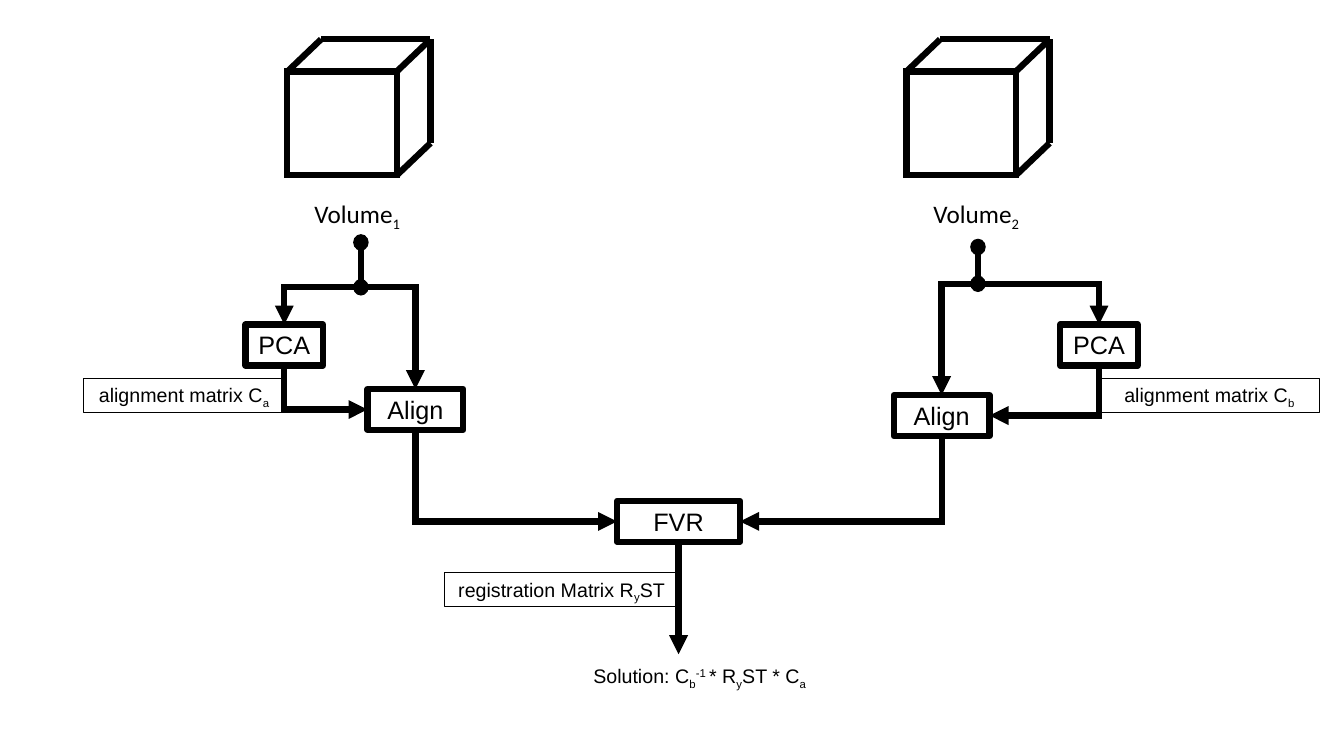
from dataclasses import dataclass

from lxml.etree import SubElement
from pptx import Presentation
from pptx.dml.color import RGBColor
from pptx.enum.shapes import MSO_CONNECTOR as Connector
from pptx.enum.shapes import MSO_SHAPE as Preset
from pptx.enum.text import MSO_AUTO_SIZE as AutoSize
from pptx.enum.text import PP_ALIGN as Align
from pptx.oxml.ns import qn
from pptx.util import Emu, Inches, Pt

COLUMNS, ROWS = 133.3, 75
BLACK, WHITE = "000000", "FFFFFF"
THICK = 4.5
CUBE_TOP, CUBE_WIDTH, CUBE_HEIGHT = 7.1, 10.85, 10.3
DEPTH_X, DEPTH_Y = 3.35, 3.2
BOX_HEIGHT, LABEL_HEIGHT = 4.05, 3.4
PCA_TOP, PCA_WIDTH, ALIGN_WIDTH = 32.2, 7.7, 9.5
FVR_X, FVR_TOP, FVR_WIDTH = 67.3, 49.7, 12.2

Point = tuple[float, float]
Runs = list[tuple[str, int]]


@dataclass(frozen=True)
class Branch:
    number: str
    matrix: str
    cube_left: float
    hub_x: float
    dots: tuple[float, float]
    pca_x: float
    align_x: float
    align_top: float
    label_left: float
    label_width: float
    label_line: float
    inward: int


BRANCHES = [
    Branch("1", "a", 28.5, 35.8, (24.05, 28.5), 28.2, 41.2, 38.6, 8.3, 19.9, 0.25, 1),
    Branch("2", "b", 89.9, 97.0, (24.5, 28.15), 109.0, 93.4, 39.2, 109.0, 21.9, 0.5, -1),
]

presentation = Presentation()
presentation.slide_width = Inches(13.33)
presentation.slide_height = Inches(7.5)
slide = presentation.slides.add_slide(presentation.slide_layouts[6])


def across(columns: float) -> Emu:
    return Emu(round(presentation.slide_width * columns / COLUMNS))


def down(rows: float) -> Emu:
    return Emu(round(presentation.slide_height * rows / ROWS))


def color(value: str) -> RGBColor:
    return RGBColor.from_string(value)


def outline(shape, width: float, miter: bool = False, arrow: bool = False) -> None:
    shape.line.color.rgb = color(BLACK)
    shape.line.width = Pt(width)
    line = shape.line._get_or_add_ln()
    if miter:
        SubElement(line, qn("a:miter"), lim="800000")
    if arrow:
        SubElement(line, qn("a:tailEnd"), type="triangle")


def solid(preset: Preset, left: float, top: float, width: float, height: float,
          fill: str, line: float) -> None:
    shape = slide.shapes.add_shape(
        preset, across(left), down(top), across(width), down(height))
    shape.shadow.inherit = False
    shape.fill.solid()
    shape.fill.fore_color.rgb = color(fill)
    outline(shape, line, miter=True)


def text(runs: Runs, left: float, top: float, width: float, height: float, *,
         size: float = 14, font: str = "Arial", align: Align = Align.CENTER,
         line: float = 0) -> None:
    shape = slide.shapes.add_textbox(
        across(left), down(top), across(width), down(height))
    if line:
        outline(shape, line)
    frame = shape.text_frame
    frame.word_wrap = True
    frame.auto_size = AutoSize.SHAPE_TO_FIT_TEXT
    paragraph = frame.paragraphs[0]
    paragraph.alignment = align
    for words, baseline in runs:
        run = paragraph.add_run()
        run.text = words
        run.font.size = Pt(size)
        run.font.name = font
        run.font.color.rgb = color(BLACK)
        if baseline:
            run.font._element.set("baseline", str(baseline * 1000))


def connect(start: Point, end: Point, kind: Connector = Connector.STRAIGHT,
            arrow: bool = False):
    connector = slide.shapes.add_connector(
        kind, across(start[0]), down(start[1]), across(end[0]), down(end[1]))
    SubElement(connector._element.spPr, qn("a:effectLst"))
    outline(connector, THICK, miter=True, arrow=arrow)
    return connector


def elbow(start: Point, end: Point, vertical_first: bool = False) -> None:
    connector = connect(start, end, Connector.ELBOW, arrow=True)
    properties = connector._element.spPr
    properties.find(qn("a:prstGeom")).set("prst", "bentConnector2")
    if vertical_first:
        left, top = connector.left, connector.top
        width, height = connector.width, connector.height
        connector.left = left + (width - height) // 2
        connector.top = top + (height - width) // 2
        connector.width, connector.height = height, width
        rightward = end[0] > start[0]
        transform = properties.find(qn("a:xfrm"))
        transform.set("rot", str((270 if rightward else 90) * 60000))
        transform.set("flipH", "1" if rightward else "0")


def process(name: str, center: float, top: float, width: float) -> None:
    text([(name, 0)], center - width / 2, top, width, BOX_HEIGHT, size=18, line=THICK)


def cube(left: float) -> None:
    right, bottom = left + CUBE_WIDTH, CUBE_TOP + CUBE_HEIGHT
    solid(Preset.RECTANGLE, left, CUBE_TOP, CUBE_WIDTH, CUBE_HEIGHT, WHITE, THICK)
    front = [(left, CUBE_TOP), (right, CUBE_TOP), (right, bottom)]
    back = [(x + DEPTH_X, y - DEPTH_Y) for x, y in front]
    for start, end in [*zip(front, back), *zip(back, back[1:])]:
        connect(start, end)


def draw_branch(branch: Branch) -> None:
    cube(branch.cube_left)
    text([("Volume", 0), (branch.number, -25)], branch.cube_left + 1.7, 19.2, 12.5, 4,
         size=18, font="Calibri", align=Align.LEFT)
    source, hub = [(branch.hub_x, y) for y in branch.dots]
    for x, y in (source, hub):
        solid(Preset.OVAL, x - 0.7, y - 0.75, 1.4, 1.5, BLACK, 1)
    connect(source, hub)

    process("PCA", branch.pca_x, PCA_TOP, PCA_WIDTH)
    process("Align", branch.align_x, branch.align_top, ALIGN_WIDTH)
    text([("alignment matrix C", 0), (branch.matrix, -25)], branch.label_left, 37.5,
         branch.label_width, LABEL_HEIGHT, line=branch.label_line)

    align_side = branch.align_x - branch.inward * ALIGN_WIDTH / 2
    fvr_side = FVR_X - branch.inward * FVR_WIDTH / 2
    elbow(hub, (branch.pca_x, PCA_TOP))
    elbow(hub, (branch.align_x, branch.align_top))
    elbow((branch.pca_x, PCA_TOP + BOX_HEIGHT),
          (align_side, branch.align_top + BOX_HEIGHT / 2), vertical_first=True)
    elbow((branch.align_x, branch.align_top + BOX_HEIGHT),
          (fvr_side, FVR_TOP + BOX_HEIGHT / 2), vertical_first=True)


for branch in BRANCHES:
    draw_branch(branch)

process("FVR", FVR_X, FVR_TOP, FVR_WIDTH)
connect((FVR_X, FVR_TOP + BOX_HEIGHT), (FVR_X, 64.9), arrow=True)
text([("registration Matrix R", 0), ("y", -25), ("ST", 0)],
     44.1, 56.8, 23.2, LABEL_HEIGHT, line=0.5)
text([("Solution: C", 0), ("b", -25), ("-1 ", 30), ("* R", 0), ("y", -25),
      ("ST * C", 0), ("a", -25)], 56.6, 65.4, 25.6, LABEL_HEIGHT)

presentation.save("out.pptx")
